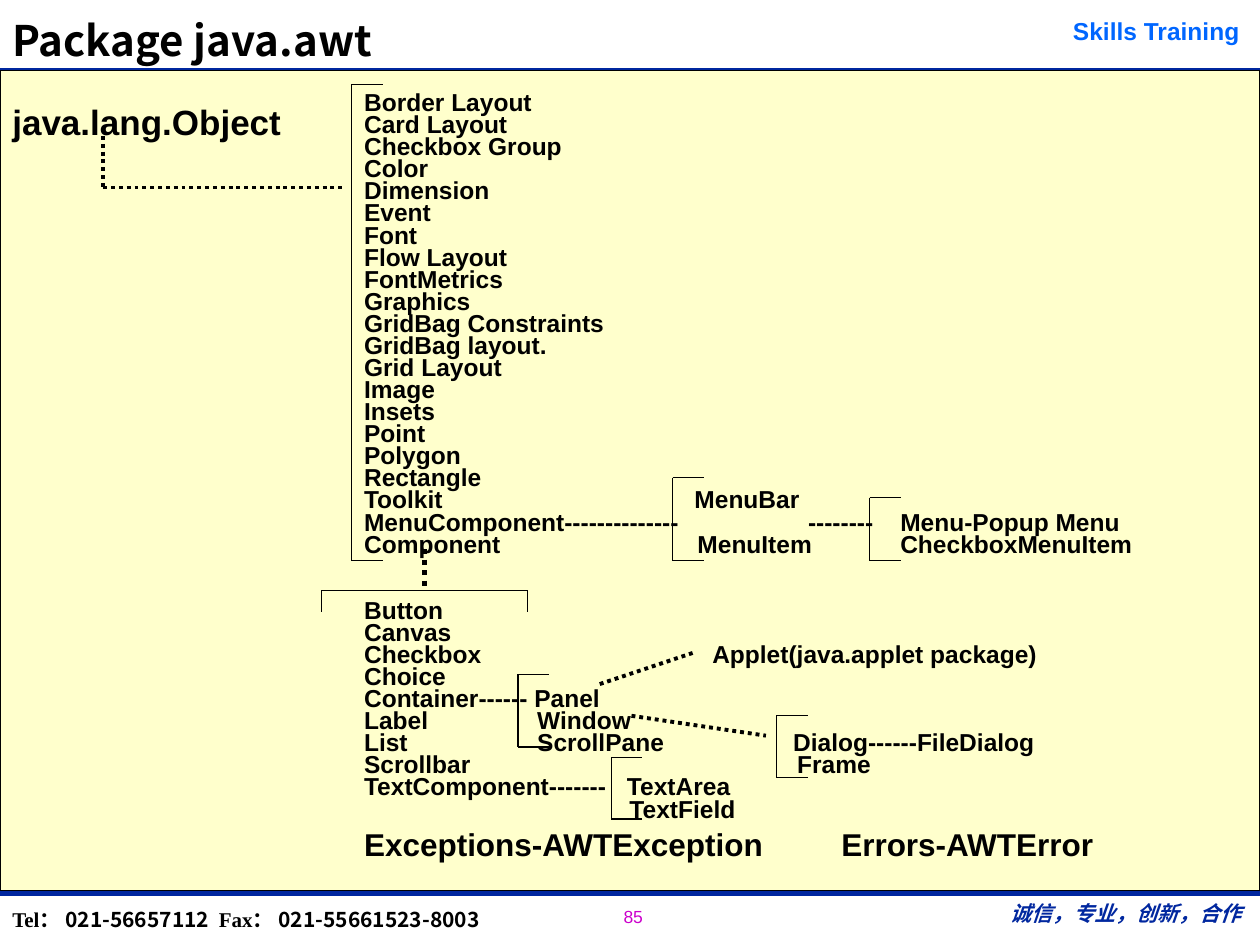
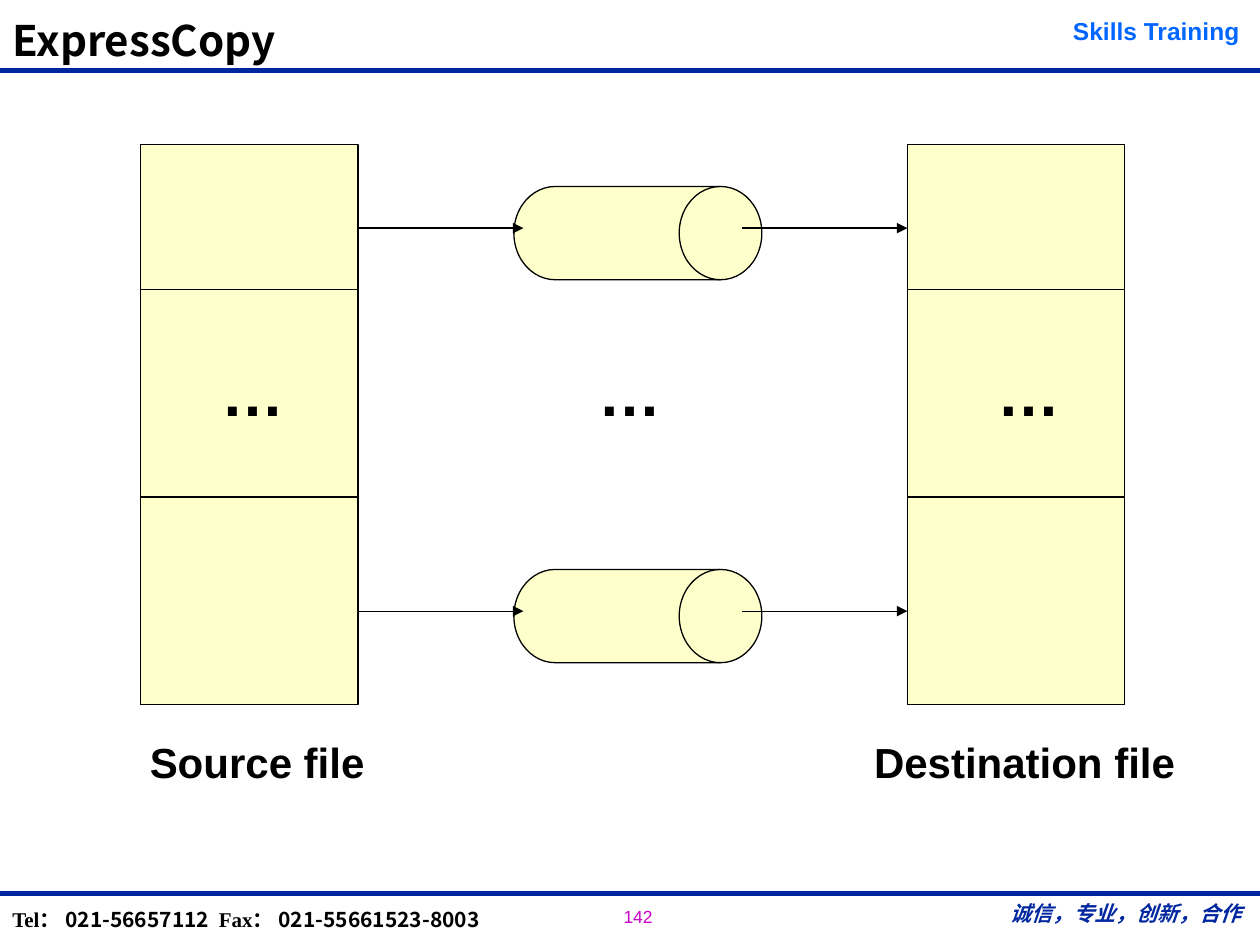
from lxml.etree import SubElement
from pptx import Presentation
from pptx.dml.color import RGBColor
from pptx.enum.dml import MSO_LINE
from pptx.enum.shapes import MSO_CONNECTOR, MSO_SHAPE
from pptx.enum.text import MSO_ANCHOR, MSO_AUTO_SIZE, PP_ALIGN
from pptx.oxml.ns import qn
from pptx.util import Cm, Pt

COLORS = {
    "black": "000000",
    "navy": "00279F",
    "blue": "0066FF",
    "magenta": "CC00CC",
    "cream": "FFFFCC",
}
SANS, SERIF, CJK = "Arial", "Times New Roman", "Noto Sans CJK SC"
PAGE_WIDTH, PAGE_HEIGHT = 25.4, 19.05
RULES = (1.42, 18.01)

BRAND = "Skills Training"
SLOGAN = "诚信，专业，创新，合作"
CONTACT = [
    ("Tel： ", {"size": 12, "font": SERIF}),
    ("021-56657112", {"size": 12, "font": CJK}),
    (" ", {"size": 24, "font": CJK, "italic": True}),
    ("Fax： ", {"size": 12, "font": SERIF}),
    ("021-55661523-8003", {"size": 12, "font": CJK}),
]

PACKAGE = {"title": "Package java.awt", "number": "85"}
ROOT_CLASS = "java.lang.Object"
CLASS_ROWS = [
    ["Border Layout"],
    ["Card Layout"],
    ["Checkbox Group"],
    ["Color"],
    ["Dimension"],
    ["Event"],
    ["Font"],
    ["Flow Layout"],
    ["FontMetrics"],
    ["Graphics"],
    ["GridBag Constraints"],
    ["GridBag layout."],
    ["Grid Layout"],
    ["Image"],
    ["Insets"],
    ["Point"],
    ["Polygon"],
    ["Rectangle"],
    ["Toolkit", (6.66, "MenuBar")],
    ["MenuComponent--------------", (8.95, "--------"), (10.81, "Menu-Popup Menu")],
    ["Component", (6.72, "MenuItem"), (10.81, "CheckboxMenuItem")],
]
COMPONENT_ROWS = [
    ["Button"],
    ["Canvas"],
    ["Checkbox", (7.02, "Applet(java.applet package)")],
    ["Choice"],
    ["Container------ Panel"],
    ["Label", (3.49, "Window")],
    ["List", (3.49, "ScrollPane"), (8.65, "Dialog------FileDialog")],
    ["Scrollbar", (8.73, "Frame")],
    ["TextComponent-------", (5.3, "TextArea")],
    ["", (5.35, "TextField")],
]
PROBLEM_ROW = ["Exceptions-AWTException", (9.62, "Errors-AWTError")]
ROW_PITCH = 12.62
BRACKET_ARM = 0.63
BRACKETS = [
    (7.09, 1.7, 11.3),
    (13.56, 9.63, 11.3),
    (17.53, 10.03, 11.3),
    (10.44, 13.59, 15.06),
    (15.65, 14.43, 15.67),
    (12.32, 15.27, 16.51),
]
COMPONENT_BRACKET = {"left": 6.48, "right": 10.64, "top": 11.91, "bottom": 12.34}
DOTTED_LINKS = [
    ((2.08, 2.74), (2.08, 3.78), 2.25),
    ((2.08, 3.78), (6.91, 3.78), 2.25),
    ((12.09, 13.79), (13.97, 13.16), 2.25),
    ((12.73, 14.43), (15.44, 14.83), 2.25),
    ((8.56, 11.07), (8.56, 11.91), 3),
]

COPY = {"title": "ExpressCopy", "number": "142"}
FILE_LABELS = [("Source file", 2.77), ("Destination file", 17.37)]
FILE_LEFTS = (2.84, 18.29)
FILE_TOP, FILE_WIDTH, FILE_HEIGHT = 2.92, 4.38, 11.28
DIVIDERS = (5.84, 10.02)
DRUM_LEFT, DRUM_WIDTH, DRUM_HEIGHT = 10.36, 5.0, 1.88
DRUM_TOPS = (3.76, 11.48)
ARROW_DROP, ARROW_LENGTH = 0.84, 3.33
ELLIPSIS_LEFTS = (11.81, 4.22, 19.86)


def rgb(name):
    return RGBColor.from_string(COLORS[name])


def add_span(para, text, size, font=SANS, color="black", bold=True, italic=False):
    span = para.add_run()
    span.text = text
    span.font.size = Pt(size)
    span.font.bold = bold
    span.font.italic = italic
    span.font.color.rgb = rgb(color)
    span.font.name = font
    SubElement(span.font._element, qn("a:ea"), typeface=CJK)


def add_box(page, left, top, width, height):
    box = page.shapes.add_textbox(Cm(left), Cm(top), Cm(width), Cm(height))
    box.text_frame.word_wrap = True
    return box.text_frame


def add_label(page, area, text, size, align=PP_ALIGN.LEFT, **style):
    para = add_box(page, *area).paragraphs[0]
    para.alignment = align
    add_span(para, text, size, **style)


def fill_row(para, row, size):
    first, *columns = row
    if columns:
        tabs = SubElement(para._p.get_or_add_pPr(), qn("a:tabLst"))
        for position, _ in columns:
            SubElement(tabs, qn("a:tab"), pos=str(Cm(position)), algn="l")
    if first:
        add_span(para, first, size)
    for _, text in columns:
        add_span(para, "\t" + text, size)


def add_line(page, start, end, width=0.75, color="black", dotted=False, arrow=False):
    points = [Cm(value) for value in (*start, *end)]
    line = page.shapes.add_connector(MSO_CONNECTOR.STRAIGHT, *points)
    line.line.width = Pt(width)
    line.line.color.rgb = rgb(color)
    if dotted:
        line.line.dash_style = MSO_LINE.ROUND_DOT
    if arrow:
        SubElement(line.get_or_add_ln(), qn("a:tailEnd"), type="triangle")
    SubElement(line._element.spPr, qn("a:effectLst"))


def add_cream_shape(page, kind, left, top, width, height):
    shape = page.shapes.add_shape(kind, Cm(left), Cm(top), Cm(width), Cm(height))
    shape.shadow.inherit = False
    shape.fill.solid()
    shape.fill.fore_color.rgb = rgb("cream")
    shape.line.color.rgb = rgb("black")
    shape.line.width = Pt(0.75)


def add_page(deck, title, number):
    page = deck.slides.add_slide(deck.slide_layouts[5])
    heading = page.shapes.title
    heading.left, heading.top = Cm(0), Cm(0)
    heading.width, heading.height = Cm(21.18), Cm(1.45)
    frame = heading.text_frame
    frame.auto_size = MSO_AUTO_SIZE.NONE
    frame.vertical_anchor = MSO_ANCHOR.BOTTOM
    para = frame.paragraphs[0]
    para.alignment = PP_ALIGN.LEFT
    para.line_spacing = 0.87
    add_span(para, title, 24, CJK)

    for height in RULES:
        add_line(page, (0, height), (PAGE_WIDTH, height), 2.75, "navy")
    add_label(page, (12.32, 18.14, 2.11, 0.66), number, 10, color="magenta", bold=False)
    add_label(page, (21.29, 0.2, 4.04, 0.84), BRAND, 14, PP_ALIGN.CENTER, color="blue")

    slogan = add_box(page, 19.91, 17.81, 5.44, 1.02).paragraphs[0]
    slogan.alignment = PP_ALIGN.CENTER
    for text, size in ((" ", 18), (SLOGAN, 12)):
        add_span(slogan, text, size, SERIF, "navy", italic=True)

    contact = add_box(page, 0, 17.73, 10.9, 1.27).paragraphs[0]
    for text, style in CONTACT:
        add_span(contact, text, **style)
    return page


def add_class_tree(page):
    frame = add_box(page, 7.09, 1.78, 17.88, 14.94)
    for index, row in enumerate(CLASS_ROWS + COMPONENT_ROWS):
        para = frame.add_paragraph() if index else frame.paragraphs[0]
        para.line_spacing = Pt(ROW_PITCH)
        if index == len(CLASS_ROWS):
            para.space_before = Pt(2 * ROW_PITCH)
        fill_row(para, row, 14)


def build_package_page(deck):
    page = add_page(deck, **PACKAGE)
    add_cream_shape(page, MSO_SHAPE.RECTANGLE, 0, RULES[0], PAGE_WIDTH, 16.54)
    add_class_tree(page)
    fill_row(add_box(page, 7.09, 16.51, 17.12, 1.02).paragraphs[0], PROBLEM_ROW, 18)
    add_label(page, (0, 1.91, 7.29, 1.09), ROOT_CLASS, 20)

    for left, top, bottom in BRACKETS:
        add_line(page, (left, top), (left, bottom))
        for end in (top, bottom):
            add_line(page, (left, end), (left + BRACKET_ARM, end))

    left, right, top, bottom = COMPONENT_BRACKET.values()
    add_line(page, (left, top), (right, top))
    for side in (left, right):
        add_line(page, (side, top), (side, bottom))
    for start, end, width in DOTTED_LINKS:
        add_line(page, start, end, width, dotted=True)


def build_copy_page(deck):
    page = add_page(deck, **COPY)
    for text, left in FILE_LABELS:
        add_label(page, (left, 14.73, 7, 1.27), text, 24)

    for left in FILE_LEFTS:
        add_cream_shape(page, MSO_SHAPE.RECTANGLE, left, FILE_TOP, FILE_WIDTH, FILE_HEIGHT)
        for height in DIVIDERS:
            add_line(page, (left, height), (left + FILE_WIDTH, height))

    source_edge = FILE_LEFTS[0] + FILE_WIDTH
    drum_exit = FILE_LEFTS[1] - ARROW_LENGTH
    for top in DRUM_TOPS:
        add_cream_shape(page, MSO_SHAPE.FLOWCHART_DIRECT_ACCESS_STORAGE,
                        DRUM_LEFT, top, DRUM_WIDTH, DRUM_HEIGHT)
        height = top + ARROW_DROP
        for start in (source_edge, drum_exit):
            add_line(page, (start, height), (start + ARROW_LENGTH, height), arrow=True)

    for left in ELLIPSIS_LEFTS:
        add_label(page, (left, 7.01, 2.3, 1.78), "…", 36)


def main():
    deck = Presentation()
    deck.slide_width, deck.slide_height = Cm(PAGE_WIDTH), Cm(PAGE_HEIGHT)
    build_package_page(deck)
    build_copy_page(deck)
    deck.save("out.pptx")


if __name__ == "__main__":
    main()
